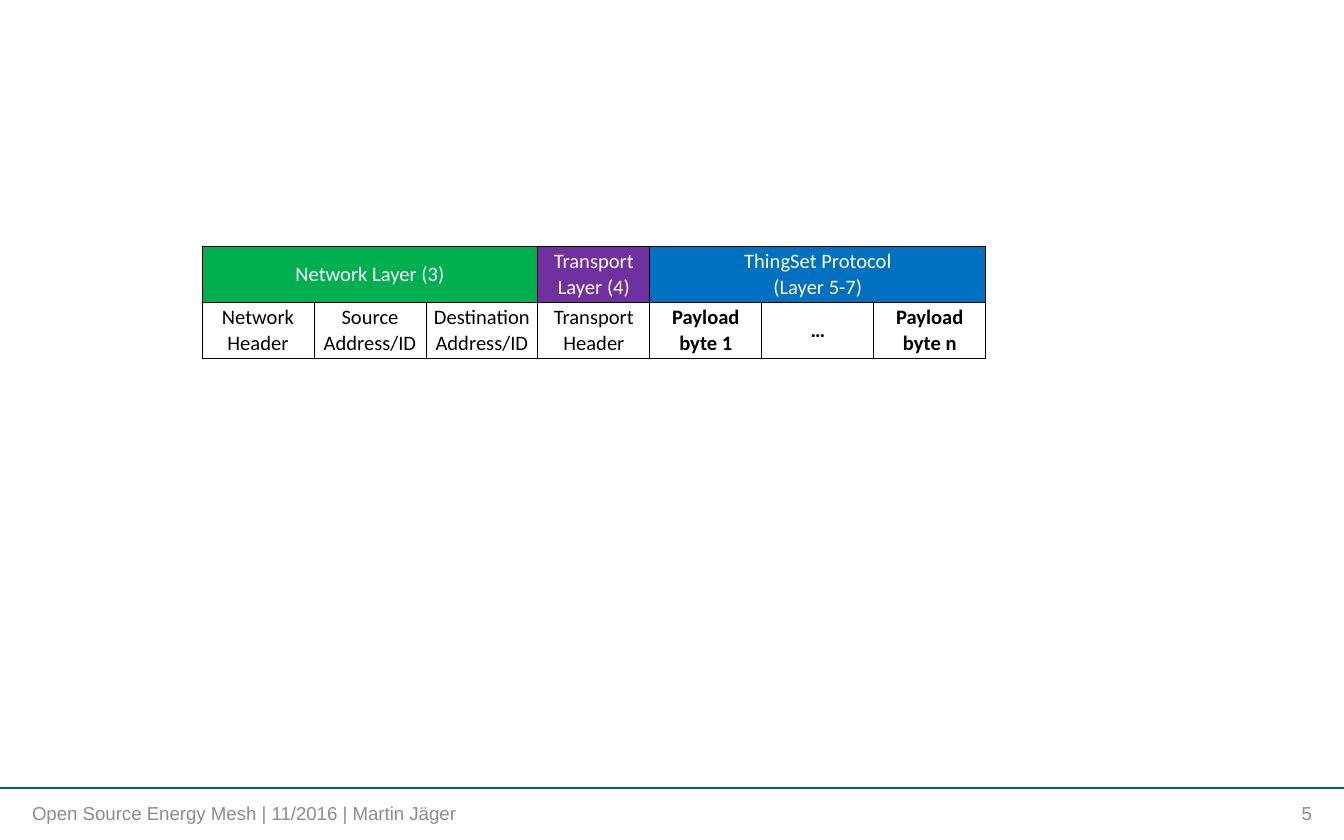
import lxml.etree
import pptx
import pptx.dml.color
import pptx.enum.shapes
import pptx.enum.text
import pptx.oxml.ns
import pptx.util

EMU_PER_PX = 914400 / 134.4
ALIGN = pptx.enum.text.PP_ALIGN
MIDDLE = pptx.enum.text.MSO_ANCHOR.MIDDLE
BLACK, WHITE, GREY, TEAL = "000000", "FFFFFF", "8C8C8C", "005E85"

# Protocol layers: label, fill, number of fields covered
LAYERS = [
    ("Network Layer (3)", "00B050", 3),
    ("Transport Layer (4)", "7030A0", 1),
    ("ThingSet Protocol\n(Layer 5-7)", "0070C0", 3),
]
# Frame fields: label, bold
FIELDS = [
    ("Network Header", False),
    ("Source Address/ID", False),
    ("Destination Address/ID", False),
    ("Transport Header", False),
    ("Payload\nbyte 1", True),
    ("…", True),
    ("Payload\nbyte n", True),
]


def px(length):
    return pptx.util.Emu(round(length * EMU_PER_PX))


def color(hex_code):
    return pptx.dml.color.RGBColor.from_string(hex_code)


def write(frame, text, *, size, font, fill, align=ALIGN.LEFT, bold=False):
    paragraph = frame.paragraphs[0]
    paragraph.text = text
    paragraph.alignment = align
    for run in paragraph.runs:
        run.font.size = pptx.util.Pt(size)
        run.font.name = font
        run.font.bold = bold
        run.font.color.rgb = color(fill)


def set_margins(target, left, top, right, bottom):
    target.margin_left, target.margin_top = px(left), px(top)
    target.margin_right, target.margin_bottom = px(right), px(bottom)


def add_footer_text(slide, text, left, width, margins, align):
    frame = slide.shapes.add_textbox(px(left), px(796), px(width), px(35)).text_frame
    frame.word_wrap = True
    frame.vertical_anchor = MIDDLE
    set_margins(frame, *margins)
    write(frame, text, size=10, font="Arial", fill=GREY, align=align)


def add_rule(slide):
    rule = slide.shapes.add_connector(
        pptx.enum.shapes.MSO_CONNECTOR.STRAIGHT, px(1344), px(788), px(0), px(788))
    rule.line.color.rgb = color(TEAL)
    rule.line.width = pptx.util.Pt(1)
    lxml.etree.SubElement(rule._element.spPr, pptx.oxml.ns.qn("a:effectLst"))


def add_borders(cell):
    properties = cell._tc.get_or_add_tcPr()
    for side in ("lnL", "lnR", "lnT", "lnB"):
        border = lxml.etree.SubElement(
            properties, pptx.oxml.ns.qn("a:" + side), w=str(pptx.util.Pt(0.5)))
        solid = lxml.etree.SubElement(border, pptx.oxml.ns.qn("a:solidFill"))
        lxml.etree.SubElement(solid, pptx.oxml.ns.qn("a:srgbClr"), val=BLACK)


def fill_cell(cell, text, text_color, bold=False):
    cell.vertical_anchor = MIDDLE
    write(cell.text_frame, text, size=11, font="Calibri", fill=text_color,
          align=ALIGN.CENTER, bold=bold)


def add_frame_table(slide):
    column_width, row_height = 112, 56
    table = slide.shapes.add_table(
        2, len(FIELDS), px(202), px(246),
        px(column_width * len(FIELDS)), px(row_height * 2)).table
    table.first_row = table.horz_banding = False
    for column in table.columns:
        column.width = px(column_width)
    for row in table.rows:
        row.height = px(row_height)
    for cell in table.iter_cells():
        set_margins(cell, 1, 1, 1, 0)
        add_borders(cell)
        cell.fill.background()

    # Layer headings above the fields they cover
    start = 0
    for label, layer_fill, span in LAYERS:
        heading = table.cell(0, start)
        if span > 1:
            heading.merge(table.cell(0, start + span - 1))
        heading.fill.solid()
        heading.fill.fore_color.rgb = color(layer_fill)
        fill_cell(heading, label, WHITE)
        start += span

    # Fields of the frame
    for index, (label, bold) in enumerate(FIELDS):
        fill_cell(table.cell(1, index), label, BLACK, bold)


def main():
    deck = pptx.Presentation()
    deck.slide_width, deck.slide_height = px(1344), px(840)
    slide = deck.slides.add_slide(deck.slide_layouts[6])

    # Footer
    add_rule(slide)
    add_footer_text(slide, "5", 1232, 80, (5, 5, 0, 5), ALIGN.RIGHT)
    add_footer_text(slide, "Open Source Energy Mesh | 11/2016 | Martin Jäger",
                    32, 1138, (0, 5, 5, 5), ALIGN.LEFT)

    # Frame layout
    add_frame_table(slide)
    deck.save("out.pptx")


if __name__ == "__main__":
    main()
